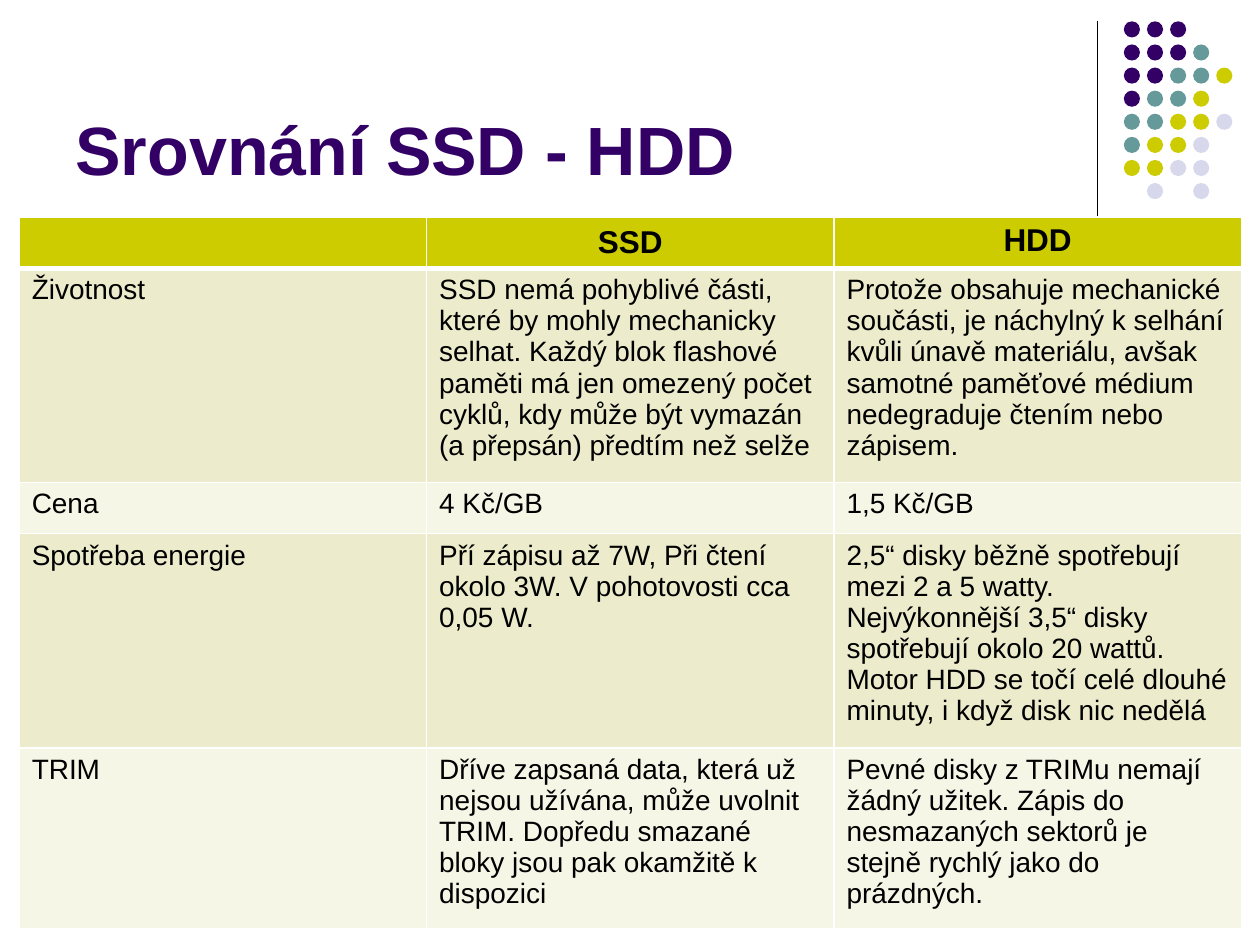
from lxml.etree import SubElement
from pptx import Presentation
from pptx.dml.color import RGBColor
from pptx.enum.shapes import MSO_CONNECTOR, MSO_SHAPE
from pptx.enum.text import MSO_ANCHOR, PP_ALIGN
from pptx.oxml.ns import qn
from pptx.util import Pt

TITLE = "Srovnání SSD - HDD"
ROWS = [
    ("", "SSD", "HDD"),
    ("Životnost",
     "SSD nemá pohyblivé části, které by mohly mechanicky selhat. Každý blok flashové paměti "
     "má jen omezený počet cyklů, kdy může být vymazán (a přepsán) předtím než selže",
     "Protože obsahuje mechanické součásti, je náchylný k selhání kvůli únavě materiálu, "
     "avšak samotné paměťové médium nedegraduje čtením nebo zápisem."),
    ("Cena", "4 Kč/GB", "1,5 Kč/GB"),
    ("Spotřeba energie",
     "Pří zápisu až 7W, Při čtení okolo 3W. V pohotovosti cca 0,05 W.",
     "2,5“ disky běžně spotřebují mezi 2 a 5 watty. Nejvýkonnější 3,5“ disky spotřebují "
     "okolo 20 wattů. Motor HDD se točí celé dlouhé minuty, i když disk nic nedělá"),
    ("TRIM",
     "Dříve zapsaná data, která už nejsou užívána, může uvolnit TRIM. Dopředu smazané bloky "
     "jsou pak okamžitě k dispozici",
     "Pevné disky z TRIMu nemají žádný užitek. Zápis do nesmazaných sektorů je stejně rychlý "
     "jako do prázdných."),
]
ROW_HEIGHTS = [29.3, 122.4, 29.3, 122.4, 102.8]
COL_WIDTH = 232.8
DOTS = ["PPP", "PPPT", "PPTTY", "PTTY", "TTYYL", "TYYL", "YYLL", " L L"]
DOT_COLORS = {"P": "330066", "T": "669999", "Y": "CCCC00", "L": "D8D8EC"}
DOT_LEFT, DOT_TOP, DOT_SIZE, DOT_STEP = 642.2, 12.2, 9.2, 13.2
HEADER_FILL, BAND_FILLS = "CCCC00", ("F6F6E7", "ECECCC")


def color(value):
    return RGBColor.from_string(value)


def add_text(tf, text, size, bold, value, align=PP_ALIGN.LEFT):
    p = tf.paragraphs[0]
    p.alignment = align
    r = p.add_run()
    r.text = text
    r.font.name = "Arial"
    r.font.size = Pt(size)
    r.font.bold = bold
    r.font.color.rgb = color(value)


def add_borders(cell, bottom):
    tc_pr = cell._tc.get_or_add_tcPr()
    for side, width in (("L", 1), ("R", 1), ("T", 1), ("B", bottom)):
        ln = SubElement(tc_pr, qn(f"a:ln{side}"), w=str(Pt(width)))
        fill = SubElement(ln, qn("a:solidFill"))
        SubElement(fill, qn("a:srgbClr"), val="FFFFFF")


prs = Presentation()
prs.slide_width, prs.slide_height = Pt(720), Pt(540)
s = prs.slides.add_slide(prs.slide_layouts[6])

divider = s.shapes.add_connector(MSO_CONNECTOR.STRAIGHT, Pt(627), Pt(12), Pt(627), Pt(132))
divider.line.color.rgb = color("000000")
divider.line.width = Pt(0.75)
SubElement(divider._element.spPr, qn("a:effectLst"))

for i, line in enumerate(DOTS):
    for j, key in enumerate(line):
        if key == " ":
            continue
        dot = s.shapes.add_shape(
            MSO_SHAPE.OVAL, Pt(DOT_LEFT + j * DOT_STEP), Pt(DOT_TOP + i * DOT_STEP),
            Pt(DOT_SIZE), Pt(DOT_SIZE))
        dot.shadow.inherit = False
        dot.fill.solid()
        dot.fill.fore_color.rgb = color(DOT_COLORS[key])
        dot.line.fill.background()

title = s.shapes.add_textbox(Pt(36), Pt(9.5), Pt(594), Pt(102))
tf = title.text_frame
tf.word_wrap = True
tf.vertical_anchor = MSO_ANCHOR.BOTTOM
add_text(tf, TITLE, 39, True, "330066")

n_cols = len(ROWS[0])
table = s.shapes.add_table(len(ROWS), n_cols, Pt(11), Pt(124),
                           Pt(COL_WIDTH * n_cols), Pt(sum(ROW_HEIGHTS))).table
for col in table.columns:
    col.width = Pt(COL_WIDTH)
for i, (texts, height) in enumerate(zip(ROWS, ROW_HEIGHTS)):
    table.rows[i].height = Pt(height)
    header = i == 0
    for j, text in enumerate(texts):
        cell = table.cell(i, j)
        add_borders(cell, 3 if header else 1)
        cell.fill.solid()
        cell.fill.fore_color.rgb = color(HEADER_FILL if header else BAND_FILLS[i % 2])
        if text:
            add_text(cell.text_frame, text, 18 if header else 16, header, "000000",
                     PP_ALIGN.CENTER if header else PP_ALIGN.LEFT)
table.cell(0, 1).vertical_anchor = MSO_ANCHOR.MIDDLE

prs.save("out.pptx")
